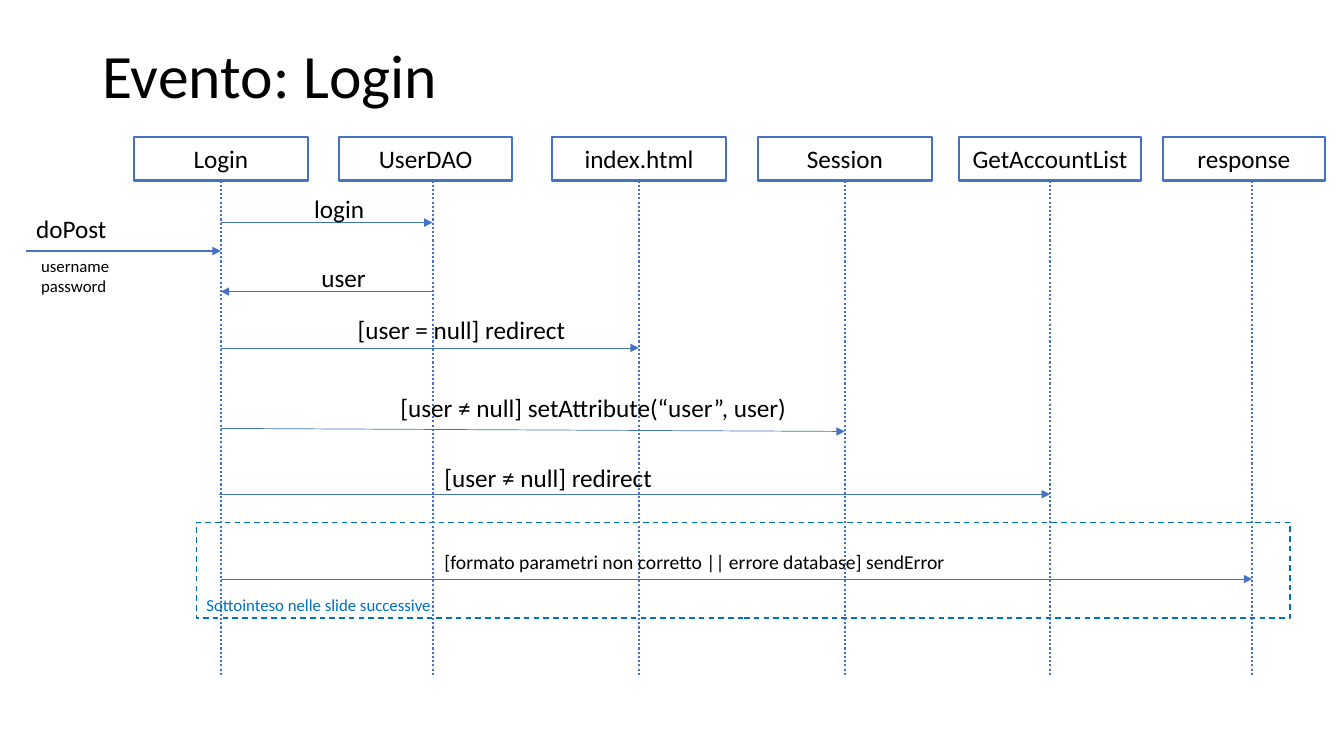
import pptx
import pptx.util
import pptx.dml.color
import pptx.enum.dml
import pptx.enum.shapes
import pptx.enum.text
import pptx.oxml
import pptx.oxml.ns

Pt = pptx.util.Pt
ANCHOR = pptx.enum.text.MSO_ANCHOR
ALIGN = pptx.enum.text.PP_ALIGN
DASH = pptx.enum.dml.MSO_LINE
RECT = pptx.enum.shapes.MSO_SHAPE.RECTANGLE

THEME = {
    "font": "Calibri", "ink": "000000", "line": "4472C4", "note": "0070C0",
    "title": 44, "label": 18, "error": 14, "small": 12,
}

deck = pptx.Presentation()
deck.slide_width, deck.slide_height = Pt(960), Pt(540)
slide = deck.slides.add_slide(deck.slide_layouts[6])


def write(holder, text, size="label", color="ink", para={}, **frame_format):
    """Fill a shape with text, one paragraph per line."""
    frame = holder.text_frame
    for name, value in frame_format.items():
        setattr(frame, name, value)
    frame.text = text
    for paragraph in frame.paragraphs:
        for name, value in para.items():
            setattr(paragraph, name, value)
        font = paragraph.runs[0].font
        for name, value in {"name": THEME["font"], "size": Pt(THEME[size])}.items():
            setattr(font, name, value)
        font.color.rgb = pptx.dml.color.RGBColor.from_string(THEME[color])


def draw_line(start, end, weight, dash=None, arrow=False):
    """Draw a straight connector, with an arrowhead at its end if asked."""
    link = slide.shapes.add_connector(
        pptx.enum.shapes.MSO_CONNECTOR.STRAIGHT, *map(Pt, start + end))
    link.line.color.rgb = pptx.dml.color.RGBColor.from_string(THEME["line"])
    for name, value in {"width": Pt(weight), "dash_style": dash}.items():
        setattr(link.line, name, value)
    if arrow:
        head = pptx.oxml.parse_xml(
            f'<a:tailEnd {pptx.oxml.ns.nsdecls("a")} type="triangle"/>')
        link.line._get_or_add_ln().append(head)
    link._element.spPr.append(
        pptx.oxml.parse_xml(f'<a:effectLst {pptx.oxml.ns.nsdecls("a")}/>'))


# Title
title = slide.shapes.add_textbox(Pt(66), Pt(18.75), Pt(828), Pt(74.4))
write(title, "Evento: Login", "title", para={"line_spacing": 0.9},
      word_wrap=True, vertical_anchor=ANCHOR.MIDDLE)

# Participants: name, box left, box width, lifeline x
participants = [
    ("Login", 95.8, 124, 157.7),
    ("UserDAO", 242, 124, 309),
    ("index.html", 394.5, 124, 456.3),
    ("Session", 541.5, 124, 603.4),
    ("GetAccountList", 684.8, 130.3, 750),
    ("response", 830.7, 115.5, 894.4),
]
BOX_TOP, BOX_HEIGHT, LIFELINE_END = 98, 31, 482.4

# Frame around the error message
error_frame = (140.4, 373, 781.2, 68.4)

boxes = [(name, (left, BOX_TOP, width, BOX_HEIGHT), "line", 1.5, None)
         for name, left, width, axis in participants]
boxes.append(("", error_frame, "note", 1, DASH.DASH))
for name, place, color, weight, dash in boxes:
    box = slide.shapes.add_shape(RECT, *map(Pt, place))
    box.shadow.inherit = False
    box.fill.background()
    box.line.color.rgb = pptx.dml.color.RGBColor.from_string(THEME[color])
    for attribute, value in {"width": Pt(weight), "dash_style": dash}.items():
        setattr(box.line, attribute, value)
    if name:
        write(box, name, para={"alignment": ALIGN.CENTER},
              vertical_anchor=ANCHOR.MIDDLE, word_wrap=True)

# Lifelines
axes = {name: axis for name, left, width, axis in participants}
for axis in axes.values():
    draw_line((axis, BOX_TOP + BOX_HEIGHT), (axis, LIFELINE_END), 1.5,
              dash=DASH.ROUND_DOT)

# Messages: start x, end x, start y, end y, weight
login = axes["Login"]
messages = [
    (18.7, login, 179.3, 179.3, 1),
    (login, axes["UserDAO"], 159, 159, 1),
    (axes["UserDAO"], login, 208.3, 208.3, 0.5),
    (login, axes["index.html"], 248.5, 248.5, 0.5),
    (login, axes["Session"], 306, 308.2, 0.5),
    (login - 1.4, axes["GetAccountList"], 353, 353, 0.5),
    (login, axes["response"], 413.6, 413.6, 0.5),
]
for start_x, end_x, start_y, end_y, weight in messages:
    draw_line((start_x, start_y), (end_x, end_y), weight, arrow=True)

# Message labels: text, left, top, width, height, size, color
labels = [
    ("doPost", 18.7, 148.5, 65.5, 29, "label", "ink"),
    ("username\npassword", 22.3, 179.3, 64, 36, "small", "ink"),
    ("login", 217.4, 134.6, 50.4, 29, "label", "ink"),
    ("user", 222.5, 183.6, 46.8, 29, "label", "ink"),
    ("[user = null] redirect", 248.4, 220.9, 164.9, 29, "label", "ink"),
    ("[user ≠ null] setAttribute(“user”, user)",
     278.9, 276.5, 293.8, 29, "label", "ink"),
    ("[user ≠ null] redirect", 310.3, 327, 164.9, 29, "label", "ink"),
    ("[formato parametri non corretto || errore database] sendError",
     310.3, 389.5, 375.1, 24.5, "error", "ink"),
    ("Sottointeso nelle slide successive",
     140.4, 421.4, 177.1, 21.6, "small", "note"),
]
for text, left, top, width, height, size, color in labels:
    label = slide.shapes.add_textbox(Pt(left), Pt(top), Pt(width), Pt(height))
    write(label, text, size, color, word_wrap=False,
          auto_size=pptx.enum.text.MSO_AUTO_SIZE.SHAPE_TO_FIT_TEXT)

deck.save("out.pptx")
